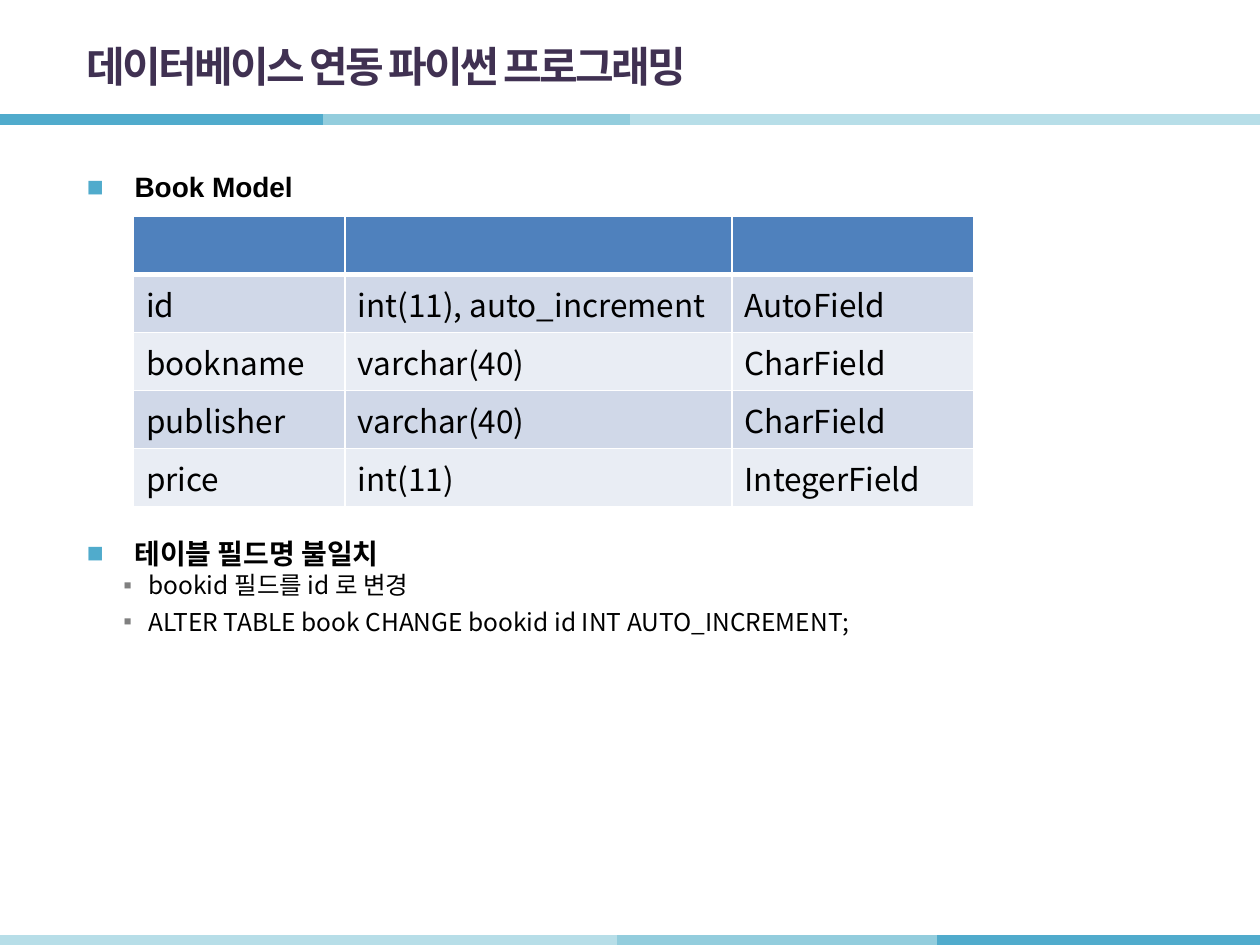
import pptx
import pptx.util
import pptx.dml.color
import pptx.enum.shapes
import pptx.enum.text
import pptx.oxml.ns
from lxml import etree

Inches = pptx.util.Inches
Pt = pptx.util.Pt
qn = pptx.oxml.ns.qn

COLORS = {
    "title": "403152", "text": "000000", "white": "FFFFFF",
    "dark": "50ABCC", "middle": "93CDDD", "light": "B7DEE8",
    "header": "4F81BD", "odd": "D0D8E8", "even": "E9EDF4", "minor": "808080",
}
KOREAN = "Noto Sans CJK KR"
BAND_COLORS = ("dark", "middle", "light", "light")
BAND_WIDTH = 2.56

FIELDS = [
    ("", "", ""),
    ("id", "int(11), auto_increment", "AutoField"),
    ("bookname", "varchar(40)", "CharField"),
    ("publisher", "varchar(40)", "CharField"),
    ("price", "int(11)", "IntegerField"),
]


def rgb(name):
    return pptx.dml.color.RGBColor.from_string(COLORS[name])


def add_run(paragraph, words, size, face=KOREAN, color="text", bold=False):
    run = paragraph.add_run()
    run.text = words
    run.font.size = Pt(size)
    run.font.name = face
    run.font.bold = bold
    run.font.color.rgb = rgb(color)
    properties = run.font._element
    etree.SubElement(properties, qn("a:ea"), typeface=face)
    return properties


def add_bullet(paragraph, mark, color, margin, hanging):
    properties = paragraph._p.get_or_add_pPr()
    properties.set("marL", str(Inches(margin)))
    properties.set("indent", str(-Inches(hanging)))
    tint = etree.SubElement(properties, qn("a:buClr"))
    etree.SubElement(tint, qn("a:srgbClr"), val=COLORS[color])
    etree.SubElement(properties, qn("a:buFont"), typeface="Arial")
    etree.SubElement(properties, qn("a:buChar"), char=mark)


def add_title(slide, left, top, width, height):
    title = slide.shapes.title
    title.left, title.top = Inches(left), Inches(top)
    title.width, title.height = Inches(width), Inches(height)
    frame = title.text_frame
    frame.vertical_anchor = pptx.enum.text.MSO_ANCHOR.MIDDLE
    heading = frame.paragraphs[0]
    heading.alignment = pptx.enum.text.PP_ALIGN.LEFT
    properties = add_run(heading, "데이터베이스 연동 파이썬 프로그래밍", 24,
                         color="title", bold=True)
    properties.set("spc", "-150")


def add_band(slide, starts, y):
    for start, color in zip(starts, BAND_COLORS):
        stripe = slide.shapes.add_connector(
            pptx.enum.shapes.MSO_CONNECTOR.STRAIGHT,
            Inches(start), Inches(y), Inches(start + BAND_WIDTH), Inches(y))
        stripe.line.color.rgb = rgb(color)
        stripe.line.width = Pt(6)
        etree.SubElement(stripe._element.spPr, qn("a:effectLst"))


def add_section(slide, left, top, width, height, heading, face, details=()):
    box = slide.shapes.add_textbox(
        Inches(left), Inches(top), Inches(width), Inches(height))
    frame = box.text_frame
    frame.word_wrap = True
    first = frame.paragraphs[0]
    add_bullet(first, "■", "dark", 0.38, 0.38)
    add_run(first, heading, 16, face, bold=True)
    for detail in details:
        paragraph = frame.add_paragraph()
        paragraph.level = 1
        add_bullet(paragraph, "▪", "minor", 0.49, 0.2)
        paragraph.space_after = Pt(4)
        add_run(paragraph, detail, 14)


def add_border(cell, side, points):
    properties = cell._tc.get_or_add_tcPr()
    border = etree.SubElement(properties, qn("a:" + side), w=str(Pt(points)))
    fill = etree.SubElement(border, qn("a:solidFill"))
    etree.SubElement(fill, qn("a:srgbClr"), val=COLORS["white"])


def add_field_table(slide, left, top, column_widths, row_height):
    table = slide.shapes.add_table(
        len(FIELDS), len(column_widths), Inches(left), Inches(top),
        Inches(sum(column_widths)), Inches(row_height * len(FIELDS))).table
    for column, width in zip(table.columns, column_widths):
        column.width = Inches(width)
    for index, field in enumerate(FIELDS):
        table.rows[index].height = Inches(row_height)
        shade = "header" if index == 0 else ("even", "odd")[index % 2]
        for position, words in enumerate(field):
            cell = table.cell(index, position)
            for side in ("lnL", "lnR", "lnT", "lnB"):
                thick = (index, side) in ((0, "lnB"), (1, "lnT"))
                add_border(cell, side, 3 if thick else 1)
            cell.fill.solid()
            cell.fill.fore_color.rgb = rgb(shade)
            if words:
                add_run(cell.text_frame.paragraphs[0], words, 18)


def main():
    deck = pptx.Presentation()
    deck.slide_width, deck.slide_height = Inches(10), Inches(7.5)
    slide = deck.slides.add_slide(deck.slide_layouts[5])
    add_band(slide, (0, 2.56, 5, 7.44), 0.95)
    add_band(slide, (7.44, 4.88, 2.34, 0), 7.46)
    add_title(slide, 0.59, 0.22, 8.27, 0.6)
    add_section(slide, 0.59, 1.3, 8.82, 0.4, "Book Model", "Arial")
    add_section(slide, 0.59, 4.21, 8.82, 1.2, "테이블 필드명 불일치", KOREAN,
                ("bookid 필드를 id 로 변경",
                 "ALTER TABLE book CHANGE bookid id INT AUTO_INCREMENT;"))
    add_field_table(slide, 1.06, 1.72, (1.68, 3.07, 1.92), 0.46)
    deck.save("out.pptx")


if __name__ == "__main__":
    main()
